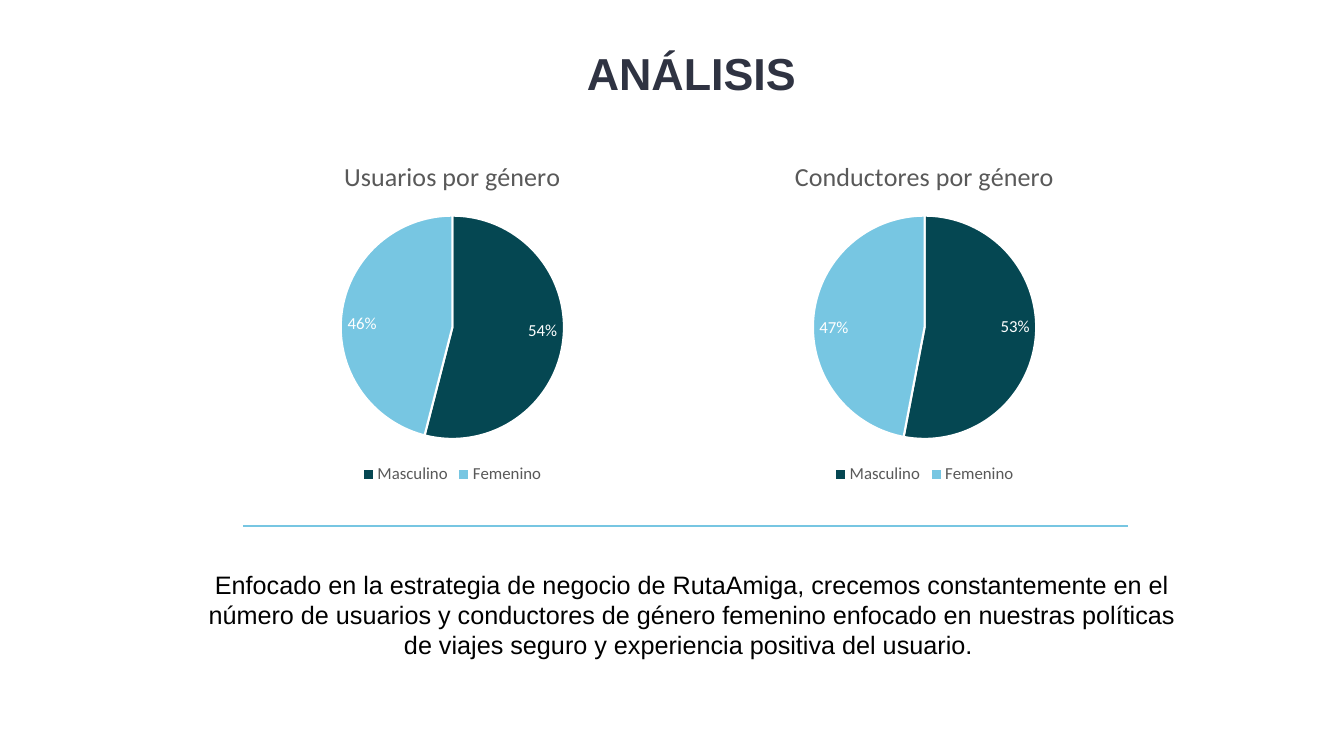
from dataclasses import dataclass

from lxml import etree
from pptx import Presentation
from pptx.chart.data import CategoryChartData
from pptx.dml.color import RGBColor
from pptx.enum.chart import XL_CHART_TYPE, XL_LABEL_POSITION, XL_LEGEND_POSITION
from pptx.enum.shapes import MSO_CONNECTOR
from pptx.enum.text import MSO_ANCHOR, PP_ALIGN
from pptx.oxml.ns import qn
from pptx.util import Cm, Pt

PIE = XL_CHART_TYPE.PIE
INSIDE_END = XL_LABEL_POSITION.INSIDE_END
BOTTOM = XL_LEGEND_POSITION.BOTTOM
STRAIGHT = MSO_CONNECTOR.STRAIGHT
TOP, MIDDLE = MSO_ANCHOR.TOP, MSO_ANCHOR.MIDDLE
CENTER = PP_ALIGN.CENTER


@dataclass(frozen=True)
class Theme:
    heading: str = "2F3342"
    body: str = "000000"
    muted: str = "595959"
    light: str = "FFFFFF"
    male: str = "054752"
    female: str = "77C6E2"
    text_font: str = "Arial"
    chart_font: str = "Calibri"
    title_size: float = 32
    body_size: float = 18
    chart_title_size: float = 18.6
    chart_size: float = 12
    line_width: float = 1.5


THEME = Theme()
CATEGORIES = ("Masculino", "Femenino")


def rgb(value):
    return RGBColor.from_string(value)


def style_font(font, name, size, color, bold=False):
    font.name, font.size, font.bold = name, Pt(size), bold
    font.color.rgb = rgb(color)


def add_text(s, box, text, size, color, bold=False, anchor=TOP,
             side_inset=0.25, spacing=1.0):
    """Add a wrapped, centred text box."""
    tf = s.shapes.add_textbox(*map(Cm, box)).text_frame
    tf.word_wrap = True
    tf.vertical_anchor = anchor
    tf.margin_left = tf.margin_right = Cm(side_inset)
    p = tf.paragraphs[0]
    p.alignment = CENTER
    p.line_spacing = spacing
    r = p.add_run()
    r.text = text
    style_font(r.font, THEME.text_font, size, color, bold)


def add_gender_pie(s, box, title, values):
    """Add a pie chart with its title, legend and percentage labels."""
    data = CategoryChartData(number_format="0%")
    data.categories = CATEGORIES
    data.add_series(title, values)
    chart = s.shapes.add_chart(PIE, *map(Cm, box), data).chart
    style_font(chart.font, THEME.chart_font, 10, THEME.body)

    # Title
    chart.has_title = True
    p = chart.chart_title.text_frame.paragraphs[0]
    r = p.add_run()
    r.text = title
    style_font(r.font, THEME.chart_font, THEME.chart_title_size, THEME.muted)
    chart.chart_title.include_in_layout = False

    # Legend
    chart.has_legend = True
    chart.legend.position = BOTTOM
    chart.legend.include_in_layout = False
    style_font(chart.legend.font, THEME.chart_font, THEME.chart_size, THEME.muted)

    # Slices
    plot = chart.plots[0]
    plot.vary_by_categories = True
    for i, color in enumerate((THEME.male, THEME.female)):
        fmt = plot.series[0].points[i].format
        fmt.fill.solid()
        fmt.fill.fore_color.rgb = rgb(color)
        fmt.line.color.rgb = rgb(THEME.light)
        fmt.line.width = Pt(THEME.line_width)

    # Labels
    labels = plot.series[0].data_labels
    labels.show_value = True
    labels.number_format = "0%"
    labels.number_format_is_linked = False
    labels.position = INSIDE_END
    style_font(labels.font, THEME.chart_font, THEME.chart_size, THEME.light)


def add_charts(s, box):
    """Place both pies side by side in the box."""
    x, y, w, h = box
    users_w = 13.56
    add_gender_pie(s, (x, y, users_w, h), "Usuarios por género", (0.54, 0.46))
    add_gender_pie(s, (x + users_w, y, w - users_w, h),
                   "Conductores por género", (0.53, 0.47))


def add_conclusion(s, box):
    """Place the divider at the top of the box and the message under it."""
    x, y, w, h = box
    gap = 0.96
    line = s.shapes.add_connector(STRAIGHT, Cm(x + 1.5), Cm(y),
                                  Cm(x + 23.8), Cm(y))
    line.line.color.rgb = rgb(THEME.female)
    line.line.width = Pt(THEME.line_width)
    etree.SubElement(line._element.spPr, qn("a:effectLst"))
    add_text(s, (x, y + gap, w, h - gap),
             "Enfocado en la estrategia de negocio de RutaAmiga, crecemos "
             "constantemente en el número de usuarios y conductores de género "
             "femenino enfocado en nuestras políticas de viajes seguro y "
             "experiencia positiva del usuario. ",
             THEME.body_size, THEME.body)


def main():
    prs = Presentation()
    prs.slide_width, prs.slide_height = Cm(33.87), Cm(19.05)
    s = prs.slides.add_slide(prs.slide_layouts[6])
    add_text(s, (11.56, 0.56, 11.73, 2.72), "ANÁLISIS", THEME.title_size,
             THEME.heading, bold=True, anchor=MIDDLE, side_inset=0, spacing=0.9)
    add_charts(s, (4.62, 3.56, 23.8, 8.74))
    add_conclusion(s, (4.62, 13.26, 25.63, 3.53))
    prs.save("out.pptx")


if __name__ == "__main__":
    main()
